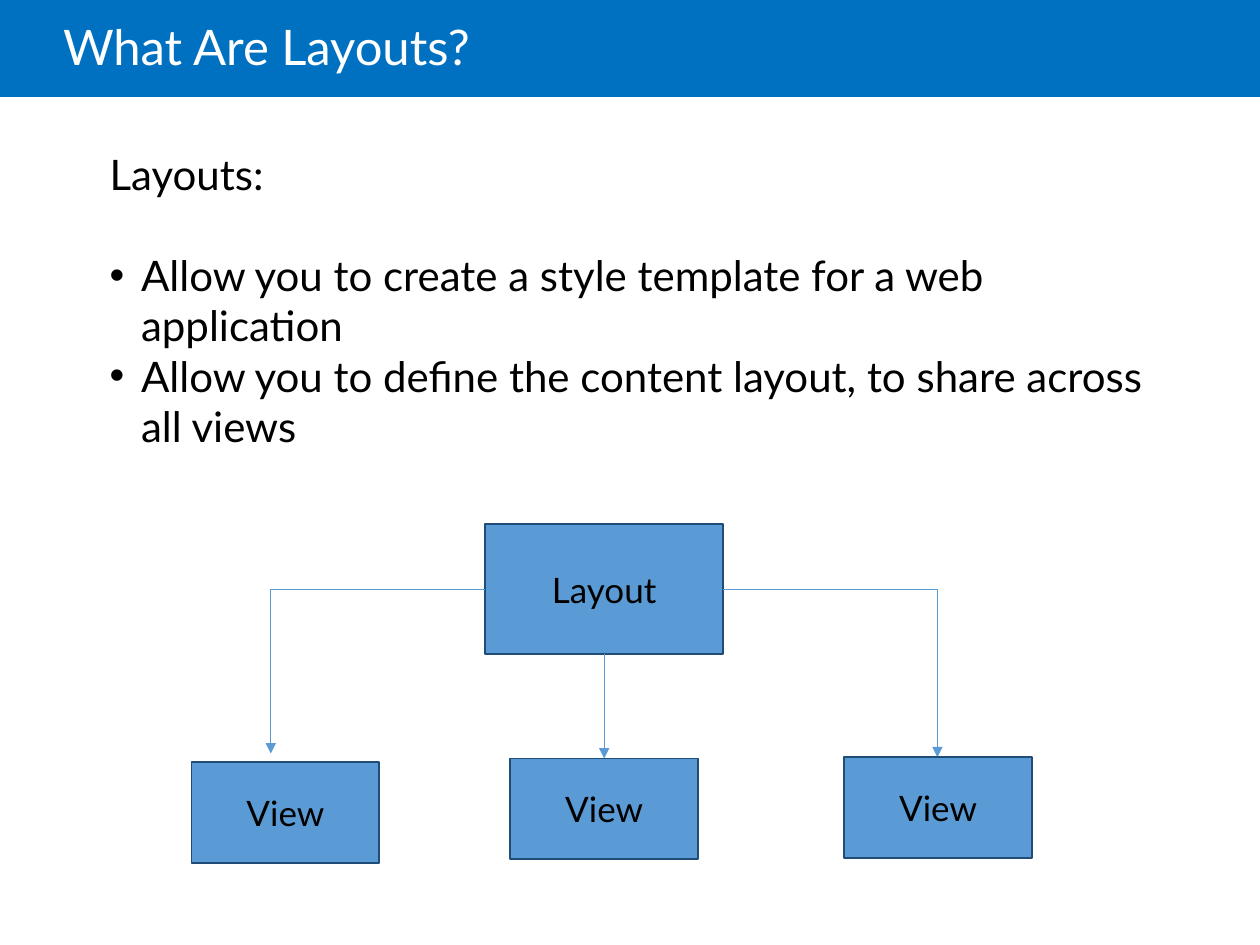
from dataclasses import dataclass

from lxml import etree
from pptx import Presentation
from pptx.dml.color import RGBColor
from pptx.enum.shapes import MSO_CONNECTOR, MSO_SHAPE
from pptx.enum.text import MSO_ANCHOR, MSO_AUTO_SIZE, PP_ALIGN
from pptx.oxml.ns import qn
from pptx.util import Inches, Pt

RECTANGLE = MSO_SHAPE.RECTANGLE
STRAIGHT, ELBOW = MSO_CONNECTOR.STRAIGHT, MSO_CONNECTOR.ELBOW
MIDDLE, TOP = MSO_ANCHOR.MIDDLE, MSO_ANCHOR.TOP
LEFT, CENTER = PP_ALIGN.LEFT, PP_ALIGN.CENTER
NO_AUTOFIT = MSO_AUTO_SIZE.NONE


@dataclass(frozen=True)
class Theme:
    font: str = "Lato"
    banner: RGBColor = RGBColor(0x00, 0x70, 0xC0)
    box: RGBColor = RGBColor(0x5B, 0x9B, 0xD5)
    outline: RGBColor = RGBColor(0x1F, 0x4D, 0x78)
    light: RGBColor = RGBColor(0xFF, 0xFF, 0xFF)
    dark: RGBColor = RGBColor(0x00, 0x00, 0x00)
    title_size: int = 28
    body_size: int = 24
    box_size: int = 20


class SlideBuilder:
    def __init__(self, slide, theme):
        self.slide = slide
        self.theme = theme

    def place(self, shape, left, top, width, height):
        shape.left, shape.top = Inches(left), Inches(top)
        shape.width, shape.height = Inches(width), Inches(height)

    def format_runs(self, paragraph, size, color):
        for run in paragraph.runs:
            run.font.name = self.theme.font
            run.font.size = Pt(size)
            run.font.color.rgb = color

    def rectangle(self, left, top, width, height, color):
        shape = self.slide.shapes.add_shape(
            RECTANGLE, Inches(left), Inches(top), Inches(width), Inches(height))
        shape.shadow.inherit = False
        shape.fill.solid()
        shape.fill.fore_color.rgb = color
        shape.line.fill.background()
        return shape

    def banner(self, width, height):
        shape = self.rectangle(0, 0, width, height, self.theme.banner)
        self.slide.shapes.title._element.addprevious(shape._element)

    def title(self, text, left, top, width, height):
        title = self.slide.shapes.title
        self.place(title, left, top, width, height)
        frame = title.text_frame
        frame.text = text
        frame.auto_size = NO_AUTOFIT
        frame.vertical_anchor = MIDDLE
        frame.margin_left = 0
        paragraph = frame.paragraphs[0]
        paragraph.alignment = LEFT
        paragraph.line_spacing = 0.85
        self.format_runs(paragraph, self.theme.title_size, self.theme.light)

    def bullet_list(self, heading, items, left, top, width, height):
        body = self.slide.placeholders[1]
        self.place(body, left, top, width, height)
        frame = body.text_frame
        frame.text = "\n".join([heading, *items])
        frame.auto_size = NO_AUTOFIT
        frame.vertical_anchor = TOP
        for index, paragraph in enumerate(frame.paragraphs):
            paragraph.space_before = Pt(0)
            paragraph.space_after = Pt(0 if index else 1.2 * self.theme.body_size)
            indent = Inches(0.25) if index else 0
            properties = paragraph._p.get_or_add_pPr()
            properties.set("marL", str(indent))
            properties.set("indent", str(-indent))
            if index:
                etree.SubElement(properties, qn("a:buFont"), typeface="Arial")
                etree.SubElement(properties, qn("a:buChar"), char="•")
            else:
                etree.SubElement(properties, qn("a:buNone"))
            self.format_runs(paragraph, self.theme.body_size, self.theme.dark)

    def box(self, text, left, top, width, height):
        shape = self.rectangle(left, top, width, height, self.theme.box)
        shape.line.color.rgb = self.theme.outline
        shape.line.width = Pt(1)
        frame = shape.text_frame
        frame.text = text
        frame.vertical_anchor = MIDDLE
        paragraph = frame.paragraphs[0]
        paragraph.alignment = CENTER
        self.format_runs(paragraph, self.theme.box_size, self.theme.dark)

    def arrow(self, start, end):
        kind = STRAIGHT if start[0] == end[0] else ELBOW
        connector = self.slide.shapes.add_connector(
            kind, *(Inches(value) for value in (*start, *end)))
        connector.line.color.rgb = self.theme.box
        connector.line.width = Pt(0.5)
        properties = connector._element.spPr
        if kind == ELBOW:
            properties.find(qn("a:prstGeom")).set("prst", "bentConnector2")
        etree.SubElement(properties.find(qn("a:ln")), qn("a:tailEnd"), type="triangle")
        etree.SubElement(properties, qn("a:effectLst"))


def main():
    presentation = Presentation()
    presentation.slide_width, presentation.slide_height = Inches(10), Inches(7.5)
    slide = presentation.slides.add_slide(presentation.slide_layouts[1])
    builder = SlideBuilder(slide, Theme())

    builder.banner(10, 0.77)
    builder.title("What Are Layouts?", 0.5, 0, 8.5, 0.81)
    builder.bullet_list(
        "Layouts:",
        ["Allow you to create a style template for a web application",
         "Allow you to define the content layout, to share across all views"],
        0.77, 1.13, 8.42, 2.52)

    left, top, width, height = 3.85, 4.16, 1.89, 1.03
    center, middle = left + width / 2, top + height / 2
    builder.box("Layout", left, top, width, height)
    builder.arrow((left, middle), (2.15, 5.98))
    builder.arrow((left + width, middle), (7.44, 6.01))
    builder.arrow((center, top + height), (center, 6.02))
    for view_left, view_top in ((1.52, 6.05), (4.05, 6.02), (6.7, 6.01)):
        builder.box("View", view_left, view_top, 1.49, 0.8)

    presentation.save("out.pptx")


if __name__ == "__main__":
    main()
